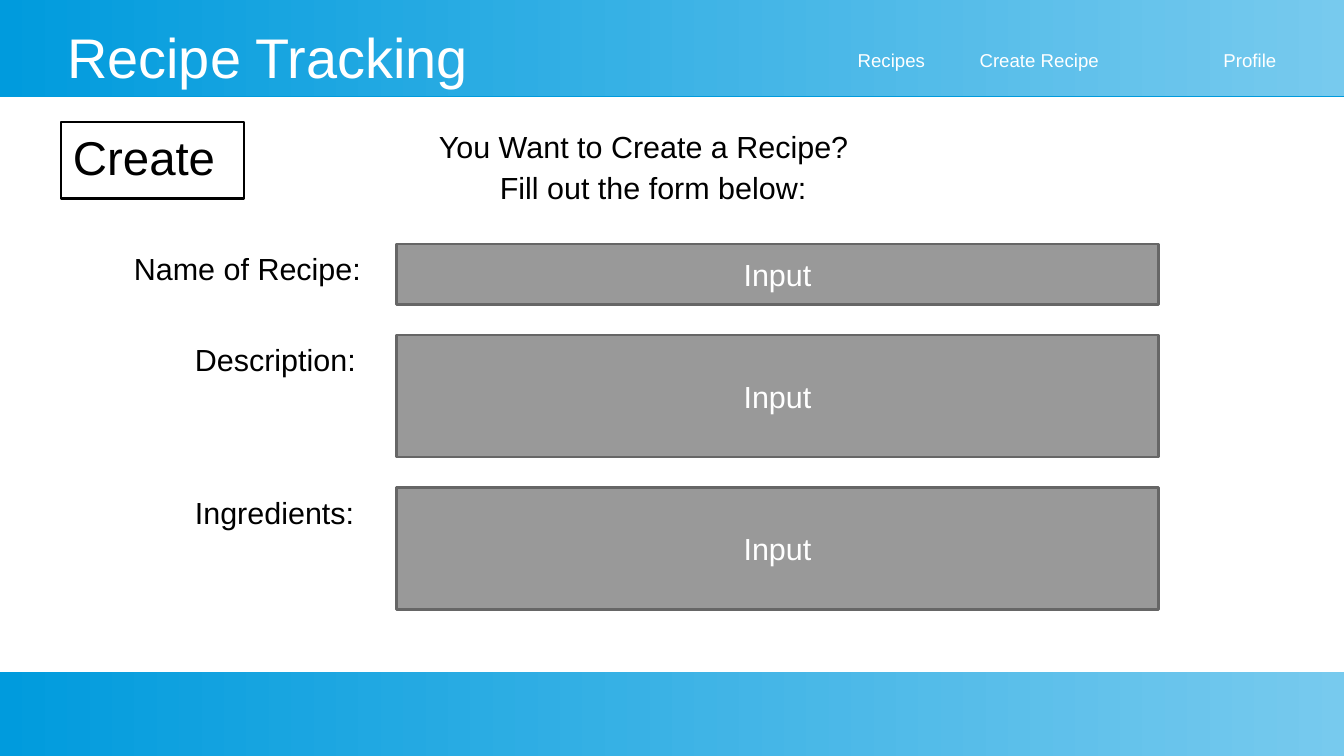
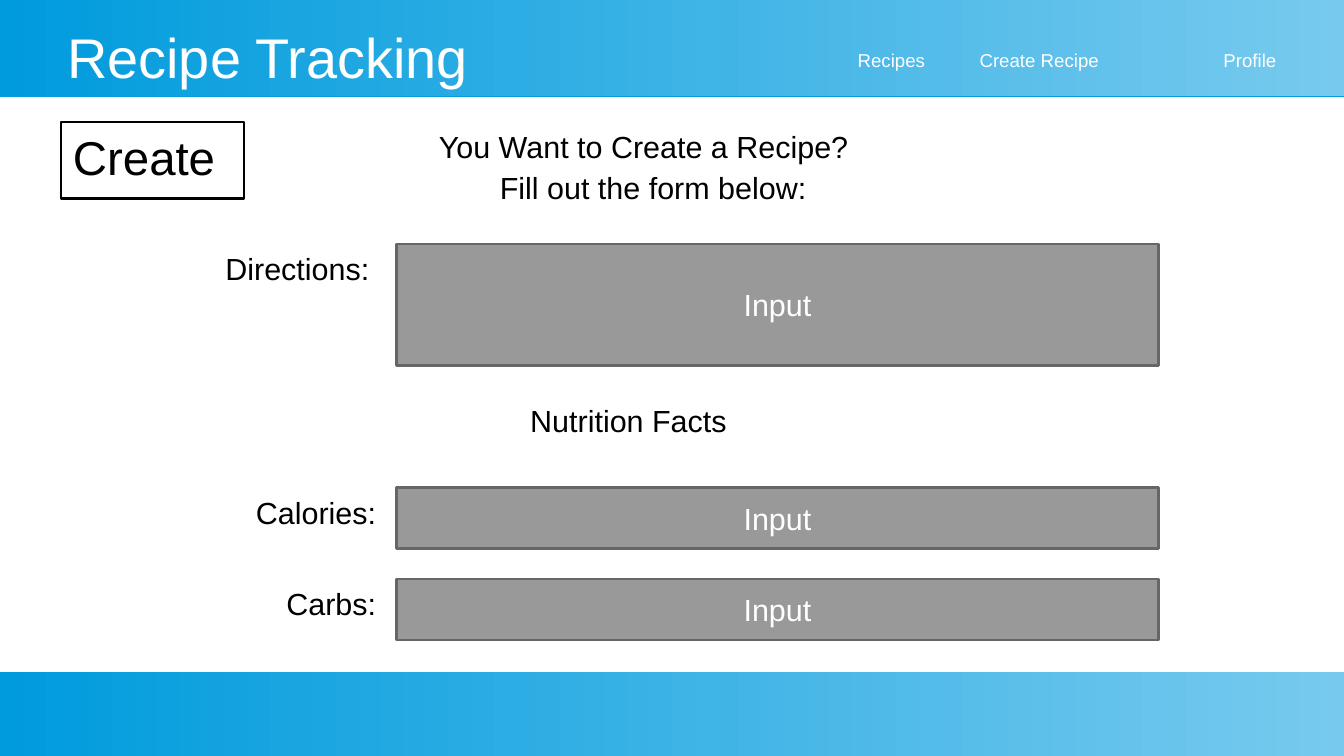
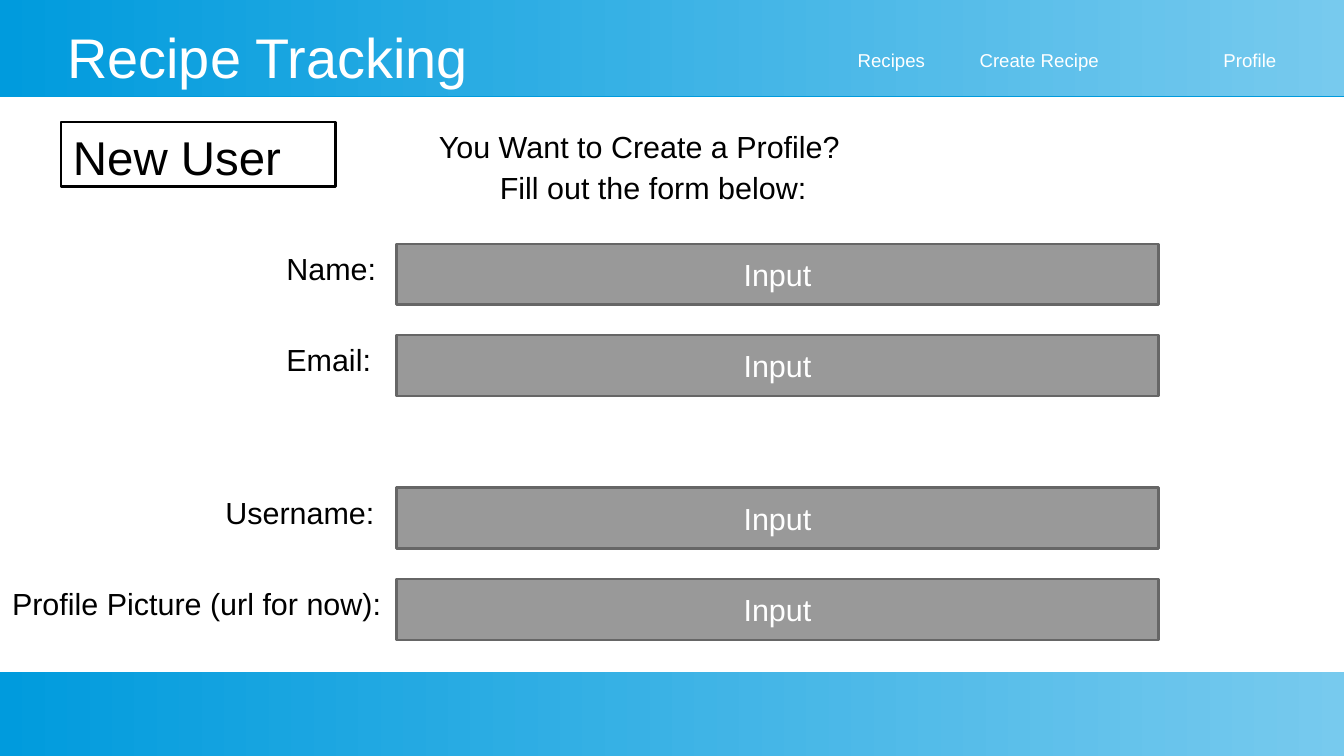
from lxml import etree
from pptx import Presentation
from pptx.dml.color import RGBColor
from pptx.enum.shapes import MSO_SHAPE
from pptx.enum.text import MSO_ANCHOR, PP_ALIGN
from pptx.oxml.ns import qn
from pptx.util import Pt

RECTANGLE = MSO_SHAPE.RECTANGLE
TOP, MIDDLE = MSO_ANCHOR.TOP, MSO_ANCHOR.MIDDLE
LEFT, CENTER = PP_ALIGN.LEFT, PP_ALIGN.CENTER

FONT = "Arial"
WHITE, BLACK = "FFFFFF", "000000"
BAND_DARK, BAND_LIGHT = "009BDD", "77CAEE"
INPUT_FILL, INPUT_LINE = "999999", "666666"

SLIDE_W, SLIDE_H = 793.5, 446.5
HEADER_H, FOOTER_H = 56.7, 49.7
INPUT_LEFT, INPUT_W = 234, 450
ROW_1, ROW_2, ROW_3, ROW_4 = 144, 198, 288, 342
SHORT, TALL = 36, 72
LABEL_W = 180
TAB_STEP = 72

RECIPE_HEADING = "You Want to Create a Recipe?"
PROFILE_HEADING = "You Want to Create a Profile?"

PAGES = [
    ("Create", 108, 45.4, RECIPE_HEADING, [
        ("Name of Recipe:", 72, ROW_1, SHORT),
        ("Description:", 108, ROW_2, TALL),
        ("Ingredients:", 108, ROW_3, TALL),
    ]),
    ("Create", 108, 45.4, RECIPE_HEADING, [
        ("Directions:", 126, ROW_1, TALL),
        ("Nutrition Facts", 306, 234, None),
        ("Calories:", 144, ROW_3, SHORT),
        ("Carbs:", 162, ROW_4, SHORT),
    ]),
    ("New User", 162, 38.2, PROFILE_HEADING, [
        ("Name:", 162, ROW_1, SHORT),
        ("Email:", 162, ROW_2, SHORT),
        ("Username:", 126, ROW_3, SHORT),
        ("Profile Picture (url for now):", 0, ROW_4, SHORT),
    ]),
]


def rgb(value):
    return RGBColor.from_string(value)


def write(shape, text, size, color, align=LEFT, anchor=TOP):
    frame = shape.text_frame
    frame.word_wrap = True
    frame.vertical_anchor = anchor
    paragraph = frame.paragraphs[0]
    paragraph.text = text
    paragraph.alignment = align
    paragraph.font.name = FONT
    paragraph.font.size = Pt(size)
    paragraph.font.color.rgb = rgb(color)
    return paragraph


def add_label(slide, text, left, top, width=LABEL_W, height=SHORT):
    label = slide.shapes.add_textbox(Pt(left), Pt(top), Pt(width), Pt(height))
    write(label, text, 18, BLACK)


def add_banner_text(slide, text, left, top, width, size):
    banner = slide.shapes.add_textbox(Pt(left), Pt(top), Pt(width), Pt(37.4))
    frame = banner.text_frame
    frame.margin_left = frame.margin_right = Pt(0)
    frame.margin_top = frame.margin_bottom = Pt(0)
    return write(banner, text, size, WHITE, CENTER, MIDDLE)


def add_rectangle(slide, left, top, width, height):
    rectangle = slide.shapes.add_shape(
        RECTANGLE, Pt(left), Pt(top), Pt(width), Pt(height))
    rectangle.shadow.inherit = False
    return rectangle


def add_outlined(slide, left, top, width, height, line):
    outlined = add_rectangle(slide, left, top, width, height)
    outlined.fill.background()
    outlined.line.color.rgb = rgb(line)
    outlined.line.width = Pt(1.42)
    return outlined


def add_input(slide, top, height):
    field = add_outlined(slide, INPUT_LEFT, top, INPUT_W, height, INPUT_LINE)
    field.fill.solid()
    field.fill.fore_color.rgb = rgb(INPUT_FILL)
    write(field, "Input", 18, WHITE, CENTER, MIDDLE)


def add_band(slide, top, height):
    band = add_rectangle(slide, 0, top, SLIDE_W, height)
    band.line.fill.background()
    band.fill.gradient()
    band.fill.gradient_angle = 0
    for stop, color in zip(band.fill.gradient_stops, (BAND_DARK, BAND_LIGHT)):
        stop.color.rgb = rgb(color)
    effects = band._element.spPr.find(qn("a:effectLst"))
    shadow = etree.SubElement(effects, qn("a:outerShdw"), dist=str(Pt(0.9)),
                              dir="5400000", rotWithShape="0")
    etree.SubElement(shadow, qn("a:srgbClr"), val=BAND_DARK)


def set_tabs(paragraph, count):
    tabs = etree.SubElement(paragraph._p.get_or_add_pPr(), qn("a:tabLst"))
    for number in range(1, count + 1):
        etree.SubElement(tabs, qn("a:tab"), pos=str(Pt(TAB_STEP * number)), algn="l")
    defaults = paragraph._p.pPr.find(qn("a:defRPr"))
    if defaults is not None:
        defaults.addprevious(tabs)


def add_site_frame(slide):
    add_band(slide, 0, HEADER_H)
    add_band(slide, SLIDE_H - FOOTER_H, FOOTER_H)
    add_banner_text(slide, "Recipe Tracking", 28, 14.4, 260, 33)
    menu = add_banner_text(slide, "Recipes\tCreate Recipe\t\tProfile", 468, 16.6, 324, 11)
    set_tabs(menu, 3)


def add_page(deck, title, title_w, title_h, heading, rows):
    slide = deck.slides.add_slide(deck.slide_layouts[6])
    add_site_frame(slide)
    title_box = add_outlined(slide, 36, 72, title_w, title_h, BLACK)
    write(title_box, title, 28, BLACK)
    add_label(slide, heading, 252, 72, 270)
    add_label(slide, "Fill out the form below:", 288, 96.5, 198)
    for label, left, top, input_h in rows:
        add_label(slide, label, left, top, max(LABEL_W, INPUT_LEFT - left))
        if input_h:
            add_input(slide, top, input_h)


def main():
    deck = Presentation()
    deck.slide_width, deck.slide_height = Pt(SLIDE_W), Pt(SLIDE_H)
    for page in PAGES:
        add_page(deck, *page)
    deck.save("out.pptx")


if __name__ == "__main__":
    main()
